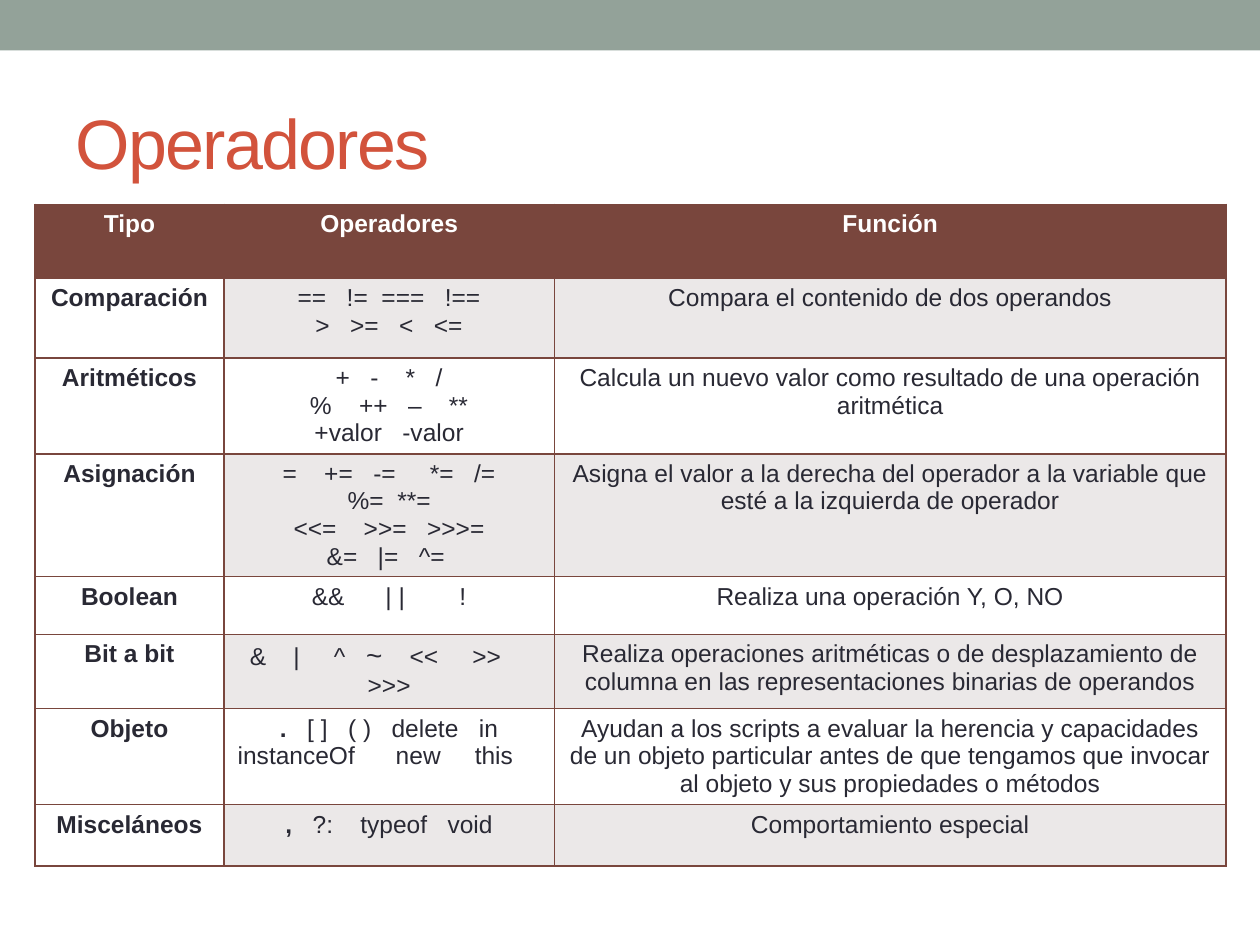
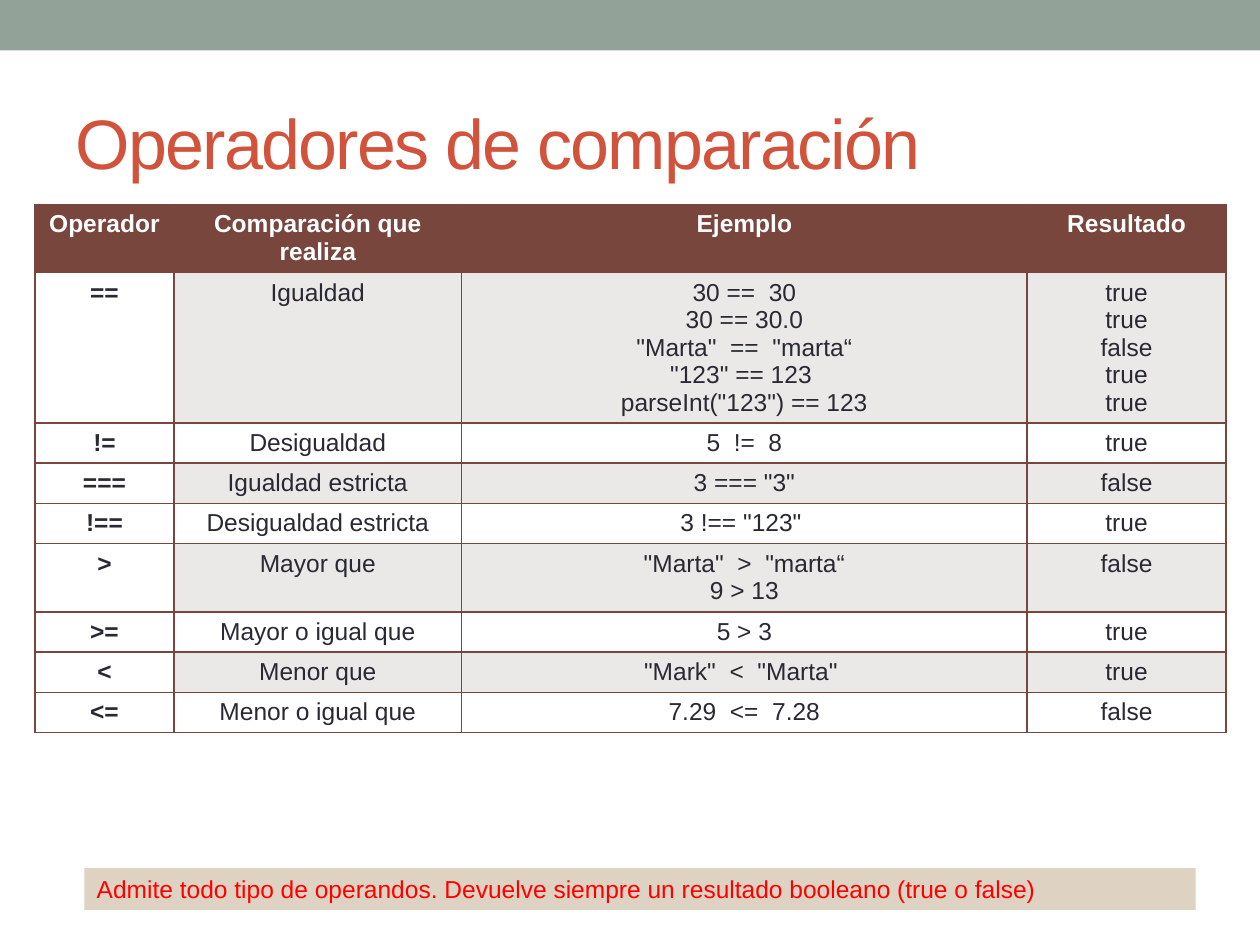
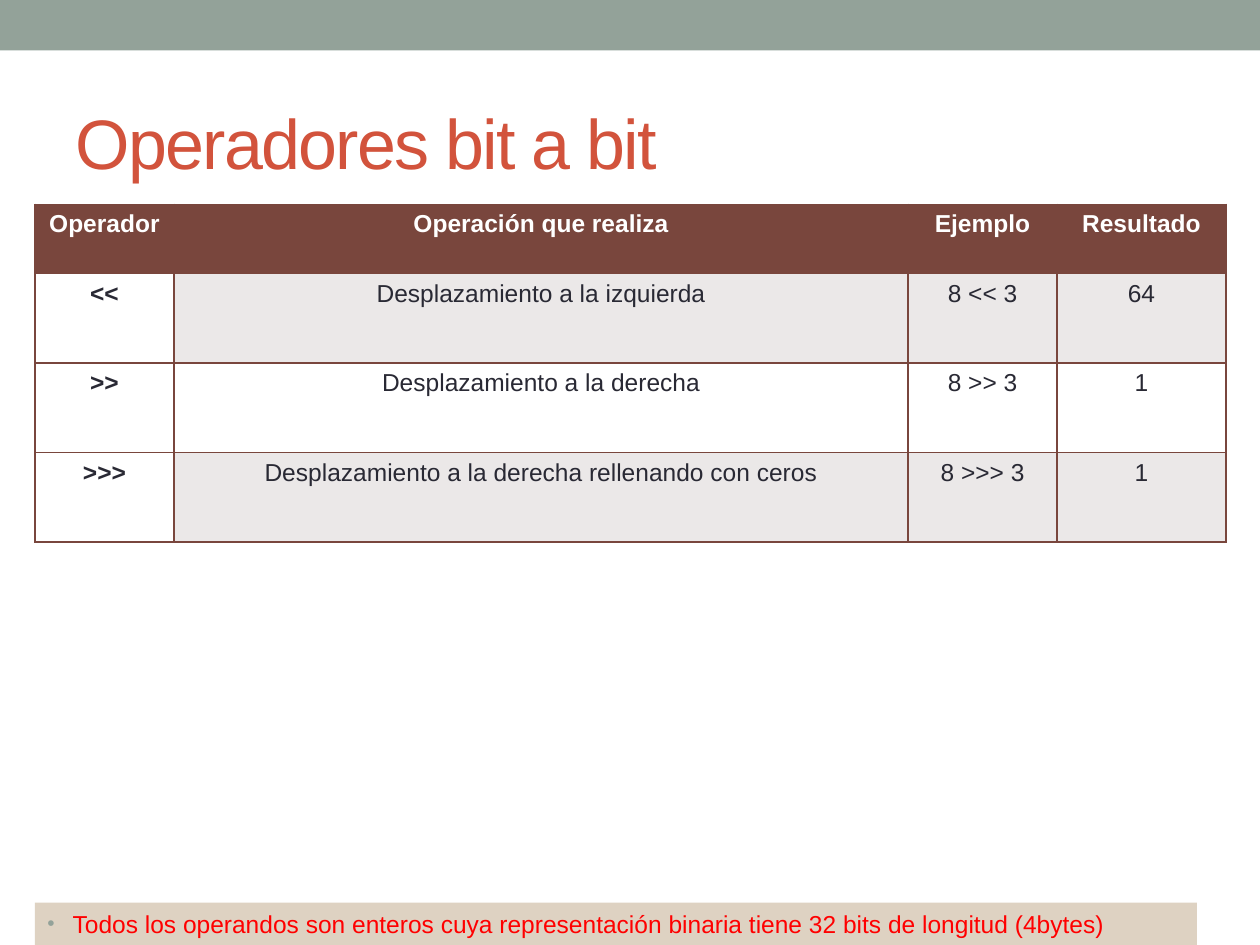
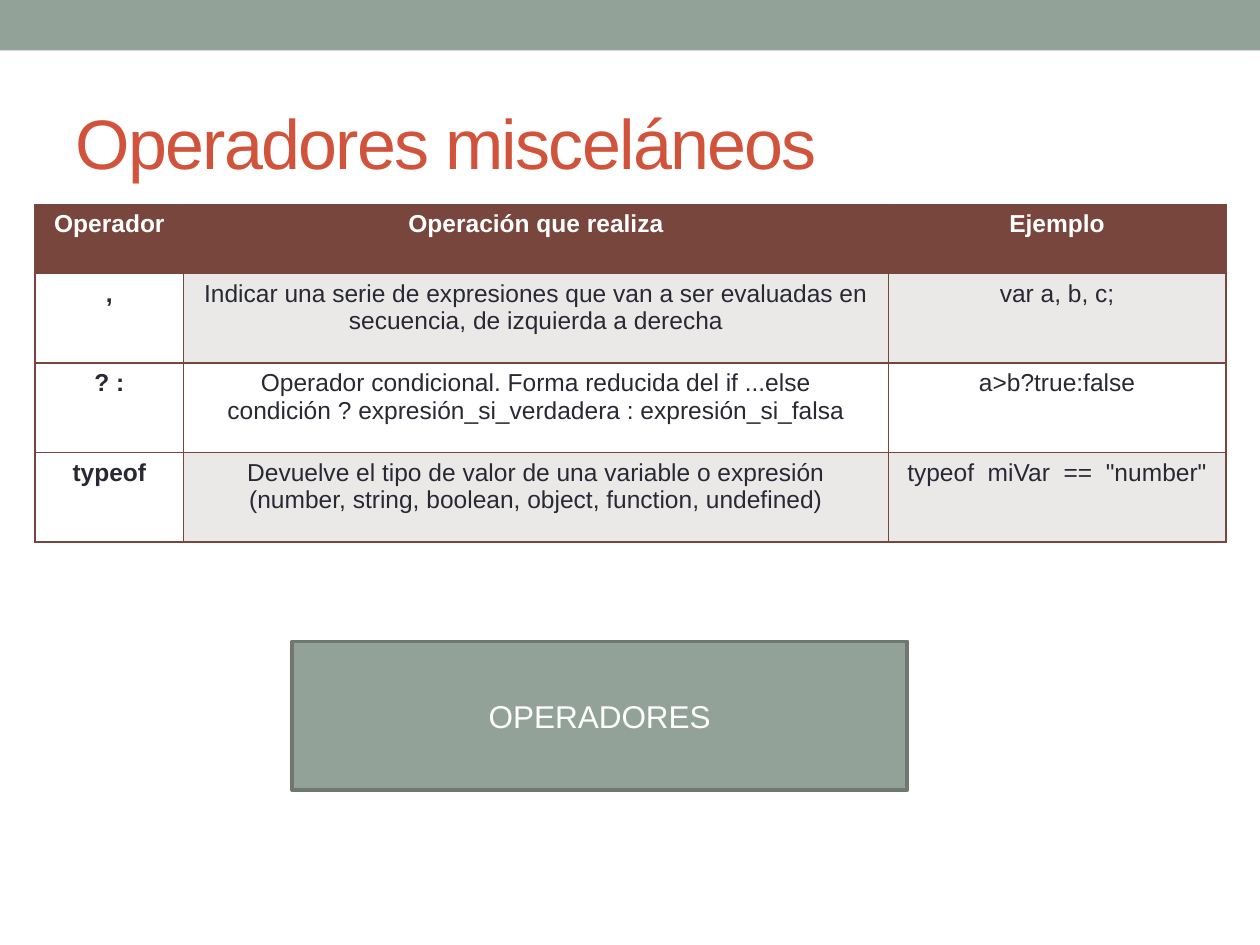
"""Build four slides on JavaScript operators, each a title with a table and an optional callout."""
from lxml import etree
from pptx import Presentation
from pptx.dml.color import RGBColor
from pptx.enum import shapes, text
from pptx.oxml import ns
from pptx.util import Pt

COLORS = {
    "band": "93A299", "band_line": "6D7871", "title": "D2533C", "header": "79463D",
    "ink": "292934", "stripe": "EBE8E8", "white": "FFFFFF", "note": "DED2C2", "alert": "FF0000",
}
FONT = "Arial"
SLIDE_W, SLIDE_H = 720, 540
BAND_BOX = (0, 0, SLIDE_W, 28.8)
TITLE_BOX = (36, 42, 648, 77.5)
TABLE_X, TABLE_Y = 20, 116.8
MIDDLE, TOP = text.MSO_ANCHOR.MIDDLE, text.MSO_ANCHOR.TOP
CENTER, LEFT = text.PP_ALIGN.CENTER, text.PP_ALIGN.LEFT

# fmt: off
SLIDES = [
    {
        "title": "Operadores",
        "cols": [108, 188.8, 383.8],
        "heights": [42.2, 45.6, 54.8, 70, 33, 42.5, 54.8, 35],
        "rows": [
            ["Tipo", "Operadores", "Función"],
            ["Comparación", "==   !=  ===   !==\n>   >=   <   <=", "Compara el contenido de dos operandos"],
            ["Aritméticos", "+   -    *   /\n%    ++   –    **\n+valor   -valor",
             "Calcula un nuevo valor como resultado de una operación aritmética"],
            ["Asignación", "=    +=   -=     *=   /=\n%=  **=\n<<=    >>=   >>>=\n&=   |=   ^= ",
             "Asigna el valor a la derecha del operador a la variable que esté a la izquierda de operador"],
            ["Boolean", "&&      | |        !", "Realiza una operación Y, O, NO"],
            ["Bit a bit", [("&    |     ^   ", {}), ("~", {"size": 16}), ("    <<     >>     >>>", {})],
             "Realiza operaciones aritméticas o de desplazamiento de columna en las "
             "representaciones binarias de operandos"],
            ["Objeto", [(".", {"bold": True}),
                        ("   [ ]   ( )   delete   in\ninstanceOf      new     this    ", {})],
             "Ayudan a los scripts a evaluar la herencia y capacidades de un objeto particular "
             "antes de que tengamos que invocar al objeto y sus propiedades o métodos"],
            ["Misceláneos", [(",   ", {"bold": True}), ("?:    typeof   void", {})], "Comportamiento especial"],
        ],
    },
    {
        "title": "Operadores de comparación",
        "cols": [79.4, 164.4, 323.2, 113.6],
        "heights": [39, 85.7, 23, 23, 23, 39, 23, 23, 23],
        "rows": [
            ["Operador", "Comparación que realiza", "Ejemplo", "Resultado"],
            ["==", "Igualdad",
             '30 ==  30\n30 == 30.0\n"Marta"  ==  "marta“\n"123" == 123 \nparseInt("123") == 123',
             "true\ntrue\nfalse\ntrue\ntrue"],
            ["!=", "Desigualdad", "5  !=  8", "true"],
            ["===", "Igualdad estricta", '3 === "3"', "false"],
            ["!==", "Desigualdad estricta", '3 !== "123" ', "true"],
            [">", "Mayor que", '"Marta"  >  "marta“\n9 > 13', "false"],
            [">=", "Mayor o igual que", "5 > 3", "true"],
            ["<", "Menor que", '"Mark"  <  "Marta" ', "true"],
            ["<=", "Menor o igual que", "7.29  <=  7.28", "false"],
        ],
        "callout": {
            "box": (48.2, 496, 635, 24), "fill": "note", "color": "alert",
            "text": "Admite todo tipo de operandos. Devuelve siempre un resultado booleano (true o false)",
        },
    },
    {
        "title": "Operadores bit a bit",
        "cols": [79.4, 419.6, 85, 96.6],
        "heights": [39.6, 51.1, 51.1, 51.1],
        "rows": [
            ["Operador", "Operación que realiza", "Ejemplo", "Resultado"],
            ["<<", "Desplazamiento a la izquierda", "8 << 3", "64"],
            [">>", "Desplazamiento a la derecha", "8 >> 3", "1"],
            [">>>", "Desplazamiento a la derecha rellenando con ceros", "8 >>> 3", "1"],
        ],
        "callout": {
            "box": (20, 515.8, 664, 24.2), "fill": "note", "color": "alert", "bullet": True,
            "text": "Todos los operandos son enteros cuya representación binaria tiene 32 bits de longitud (4bytes)",
        },
    },
    {
        "title": "Operadores misceláneos",
        "cols": [85, 402.6, 193],
        "heights": [39.6, 51.1, 51.1, 51.1],
        "rows": [
            ["Operador", "Operación que realiza", "Ejemplo"],
            [",", "Indicar una serie de expresiones que van a ser evaluadas en secuencia, de izquierda a derecha",
             "var a, b, c;"],
            ["? :", "Operador condicional. Forma reducida del if ...else\n"
                    "condición ? expresión_si_verdadera : expresión_si_falsa", "a>b?true:false"],
            ["typeof", "Devuelve el tipo de valor de una variable o expresión\n"
                       "(number, string, boolean, object, function, undefined)", 'typeof  miVar  ==  "number"'],
        ],
        "callout": {
            "box": (167, 366.5, 351.5, 85), "fill": "band", "line": "band_line", "color": "white",
            "text": "OPERADORES", "size": 18, "align": CENTER, "anchor": MIDDLE,
        },
    },
]
# fmt: on


def rgb(name):
    return RGBColor.from_string(COLORS[name])


def write(tf, content, align=LEFT, anchor=TOP, size=14, color="ink", bold=False, spacing=None):
    """Fill a text frame with a string or (text, format) runs; a newline starts a paragraph."""
    tf.word_wrap = True
    tf.vertical_anchor = anchor
    p = tf.paragraphs[0]
    p.alignment = align
    for words, fmt in [(content, {})] if isinstance(content, str) else content:
        for i, line in enumerate(words.split("\n")):
            if i:
                p = tf.add_paragraph()
                p.alignment = align
            r = p.add_run()
            r.text = line
            r.font.name = FONT
            r.font.size = Pt(fmt.get("size", size))
            r.font.bold = fmt.get("bold", bold)
            r.font.color.rgb = rgb(color)
            if spacing:
                r.font._element.set("spc", str(spacing * 100))


def add_box(slide, box, fill, line=None):
    sp = slide.shapes.add_shape(shapes.MSO_SHAPE.RECTANGLE, *map(Pt, box))
    sp.shadow.inherit = False
    sp.fill.solid()
    sp.fill.fore_color.rgb = rgb(fill)
    if line:
        sp.line.color.rgb = rgb(line)
        sp.line.width = Pt(2)
    else:
        sp.line.fill.background()
    return sp


def add_bullet(p):
    pPr = p._p.get_or_add_pPr()
    pPr.set("marL", str(Pt(14.4)))
    pPr.set("indent", str(Pt(-14.4)))
    p.space_before = Pt(2.8)
    clr = etree.SubElement(pPr, ns.qn("a:buClr"))
    etree.SubElement(clr, ns.qn("a:srgbClr"), val=COLORS["band"])
    etree.SubElement(pPr, ns.qn("a:buSzPct"), val="85000")
    etree.SubElement(pPr, ns.qn("a:buFont"), typeface=FONT)
    etree.SubElement(pPr, ns.qn("a:buChar"), char="•")


def add_borders(cell):
    tcPr = cell._tc.get_or_add_tcPr()
    for i, side in enumerate(("lnL", "lnR", "lnT", "lnB")):
        ln = etree.Element(ns.qn("a:" + side), w=str(Pt(0.96)))
        fill = etree.SubElement(ln, ns.qn("a:solidFill"))
        etree.SubElement(fill, ns.qn("a:srgbClr"), val=COLORS["header"])
        tcPr.insert(i, ln)


def add_table(slide, rows, cols, heights):
    box = (TABLE_X, TABLE_Y, sum(cols), sum(heights))
    table = slide.shapes.add_table(len(rows), len(cols), *map(Pt, box)).table
    for column, width in zip(table.columns, cols):
        column.width = Pt(width)
    for i, (row, height) in enumerate(zip(rows, heights)):
        table.rows[i].height = Pt(height)
        for j, content in enumerate(row):
            cell = table.cell(i, j)
            fill = "header" if i == 0 else "stripe" if j and i % 2 else "white"
            cell.fill.solid()
            cell.fill.fore_color.rgb = rgb(fill)
            write(cell.text_frame, content, align=CENTER, bold=i == 0 or j == 0,
                  color="ink" if i else "white")
            add_borders(cell)


def add_callout(slide, box, fill, line=None, bullet=False, **fmt):
    sp = add_box(slide, box, fill, line)
    tf = sp.text_frame
    write(tf, fmt.pop("text"), **fmt)
    if bullet:
        add_bullet(tf.paragraphs[0])


def add_title(slide, words):
    title = slide.shapes.title
    title.left, title.top, title.width, title.height = map(Pt, TITLE_BOX)
    write(title.text_frame, words, anchor=MIDDLE, size=40, color="title", spacing=-1)
    title.text_frame.auto_size = text.MSO_AUTO_SIZE.NONE


prs = Presentation()
prs.slide_width, prs.slide_height = Pt(SLIDE_W), Pt(SLIDE_H)
layout = prs.slide_layouts.get_by_name("Title Only")
for n, data in enumerate(SLIDES):
    slide = prs.slides.add_slide(layout)
    if n == 0:
        band = add_box(slide, BAND_BOX, "band")
        layout.shapes.element.insert(2, band.element)
    add_title(slide, data["title"])
    add_table(slide, data["rows"], data["cols"], data["heights"])
    if "callout" in data:
        add_callout(slide, **data["callout"])
prs.save("out.pptx")
